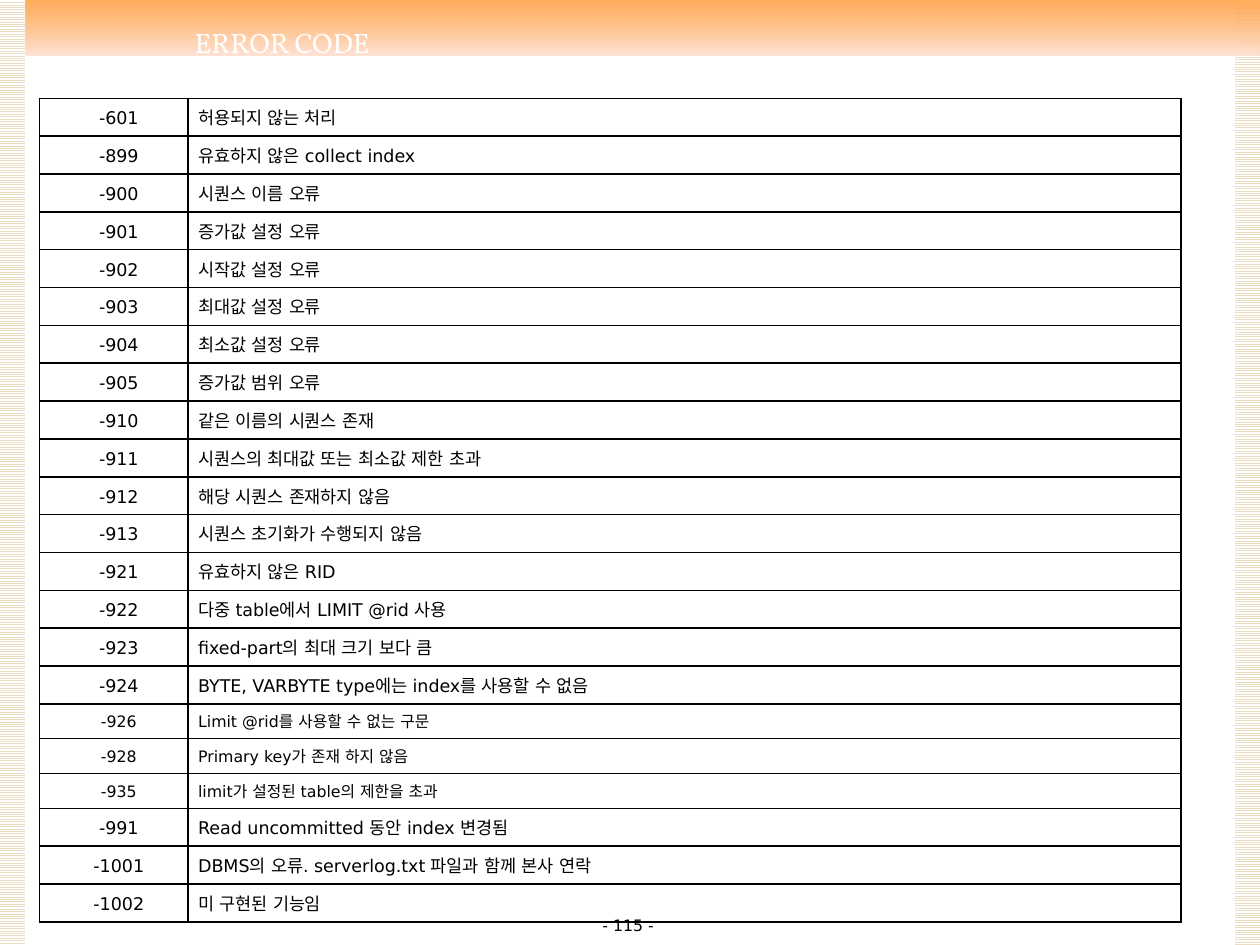
import pptx
import pptx.dml.color
import pptx.enum.dml
import pptx.enum.shapes
import pptx.enum.text
import pptx.oxml
import pptx.oxml.ns
import pptx.util
from lxml import etree

RGBColor = pptx.dml.color.RGBColor
Inches = pptx.util.Inches
Pt = pptx.util.Pt
ALIGN = pptx.enum.text.PP_ALIGN
qn = pptx.oxml.ns.qn

BLACK = RGBColor(0x00, 0x00, 0x00)
WHITE = RGBColor(0xFF, 0xFF, 0xFF)
SAND = RGBColor(0xEB, 0xDD, 0xC3)
ORANGE = RGBColor(0xFF, 0x99, 0x33)
PEACH = RGBColor(0xFF, 0xE3, 0xD6)

BODY_FONT = "DejaVu Sans"
TITLE_FONT = "Vollkorn"
COLUMN_WIDTHS = (1.18, 7.88)
ROW_HEIGHTS = {10: Pt(21.64), 9: Pt(19.9)}  # by text size
SMALL_CODES = ("-926", "-928", "-935")

ERRORS = [
    ("-601", "허용되지 않는 처리"),
    ("-899", "유효하지 않은 collect index"),
    ("-900", "시퀀스 이름 오류"),
    ("-901", "증가값 설정 오류"),
    ("-902", "시작값 설정 오류"),
    ("-903", "최대값 설정 오류"),
    ("-904", "최소값 설정 오류"),
    ("-905", "증가값 범위 오류"),
    ("-910", "같은 이름의 시퀀스 존재"),
    ("-911", "시퀀스의 최대값 또는 최소값 제한 초과"),
    ("-912", "해당 시퀀스 존재하지 않음"),
    ("-913", "시퀀스 초기화가 수행되지 않음"),
    ("-921", "유효하지 않은 RID"),
    ("-922", "다중 table에서 LIMIT @rid 사용"),
    ("-923", "fixed-part의 최대 크기 보다 큼"),
    ("-924", "BYTE, VARBYTE type에는 index를 사용할 수 없음"),
    ("-926", "Limit @rid를 사용할 수 없는 구문"),
    ("-928", "Primary key가 존재 하지 않음"),
    ("-935", "limit가 설정된 table의 제한을 초과"),
    ("-991", "Read uncommitted 동안 index 변경됨"),
    ("-1001", "DBMS의 오류. serverlog.txt 파일과 함께 본사 연락"),
    ("-1002", "미 구현된 기능임"),
]


def apply(target, formats):
    for name, value in formats.items():
        setattr(target, name, value)


def write(frame, text, size, font=BODY_FONT, color=BLACK, **para_formats):
    para = frame.paragraphs[0]
    apply(para, para_formats)
    span = para.add_run()
    span.text = text
    apply(span.font, {"size": Pt(size), "name": font})
    span.font.color.rgb = color
    # Hangul takes its font from the East Asian slot
    latin = next(para._p.iter(qn("a:latin")))
    latin.addnext(pptx.oxml.parse_xml(
        f'<a:ea {pptx.oxml.ns.nsdecls("a")} typeface="{font}"/>'))


def add_band(page, left, top, width, height):
    box = page.shapes.add_shape(
        pptx.enum.shapes.MSO_SHAPE.RECTANGLE,
        Inches(left), Inches(top), Inches(width), Inches(height))
    box.shadow.inherit = False
    box.line.fill.background()
    return box


def add_striped_edge(page, left, top, width, height):
    fill = add_band(page, left, top, width, height).fill
    fill.patterned()
    fill.pattern = pptx.enum.dml.MSO_PATTERN.LIGHT_HORIZONTAL
    fill.fore_color.rgb = SAND
    fill.back_color.rgb = WHITE


def add_header_band(page):
    box = add_band(page, -0.01, 0, 10.02, 0.44)
    box.fill.gradient()
    box.fill.gradient_angle = 270
    for stop, color in zip(box.fill.gradient_stops, (ORANGE, PEACH)):
        stop.color.rgb = color
    # The upper colour is 80 % opaque
    first_color = next(box.element.iter(qn("a:gs")))[0]
    etree.SubElement(first_color, qn("a:alpha"), val="80000")


def add_borders(cell):
    properties = cell._tc.get_or_add_tcPr()
    for side in ("lnL", "lnR", "lnT", "lnB"):
        line = etree.SubElement(properties, qn(f"a:{side}"), w=str(Pt(1)))
        fill = etree.SubElement(line, qn("a:solidFill"))
        etree.SubElement(fill, qn("a:srgbClr"), val=str(BLACK))


def add_error_table(page):
    sizes = [9 if code in SMALL_CODES else 10 for code, _ in ERRORS]
    table = page.shapes.add_table(
        len(ERRORS), len(COLUMN_WIDTHS), Pt(22.5), Inches(0.78),
        Inches(sum(COLUMN_WIDTHS)), sum(ROW_HEIGHTS[size] for size in sizes)).table
    apply(table, {"first_row": False, "horz_banding": False})
    for column, width in zip(table.columns, COLUMN_WIDTHS):
        column.width = Inches(width)
    for row, values, size in zip(table.rows, ERRORS, sizes):
        row.height = ROW_HEIGHTS[size]
        for cell, text, align in zip(row.cells, values, (ALIGN.CENTER, ALIGN.JUSTIFY)):
            add_borders(cell)
            cell.fill.background()
            apply(cell, {"margin_left": Inches(0.08), "margin_right": 0,
                         "margin_top": 0, "margin_bottom": 0})
            write(cell.text_frame, text, size, alignment=align,
                  line_spacing=1.5, space_before=Pt(6))


def add_page_number(page):
    box = page.shapes.add_textbox(Inches(3.82), Inches(7.22), Inches(2.33), Inches(0.19))
    box.text_frame.word_wrap = True
    write(box.text_frame, "- 115 -", 9, alignment=ALIGN.CENTER)


def place_title(page):
    title = page.shapes.title
    apply(title, {"left": Inches(0.34), "top": Inches(0.16),
                  "width": Inches(3.8), "height": Inches(0.35)})
    apply(title.text_frame, {
        "word_wrap": True,
        "auto_size": pptx.enum.text.MSO_AUTO_SIZE.NONE,
        "vertical_anchor": pptx.enum.text.MSO_ANCHOR.MIDDLE})
    write(title.text_frame, "ERROR CODE", 16, TITLE_FONT, WHITE, alignment=ALIGN.CENTER)
    # Bring the title in front of the header band
    page.shapes.element.append(title.element)


def main():
    deck = pptx.Presentation()
    apply(deck, {"slide_width": Inches(10), "slide_height": Inches(7.5)})
    page = deck.slides.add_slide(deck.slide_layouts[5])

    # Background decoration
    add_striped_edge(page, 9.8, 0.03, 0.21, 7.47)
    add_header_band(page)
    add_striped_edge(page, -0.01, 0, 0.21, 7.5)

    # Content
    add_page_number(page)
    add_error_table(page)
    place_title(page)
    deck.save("out.pptx")


if __name__ == "__main__":
    main()
